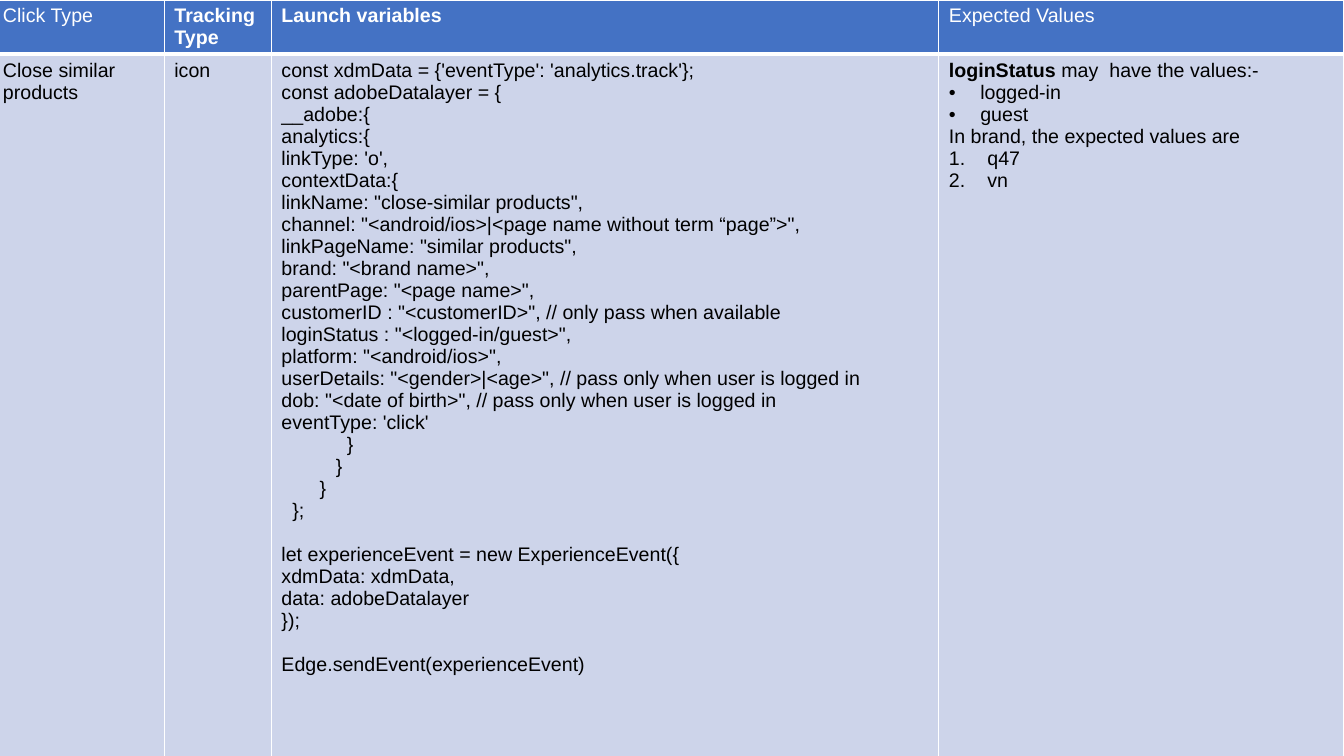
from lxml import etree
from pptx import Presentation, util as u
from pptx.dml.color import RGBColor
from pptx.oxml import ns

# Content
HEADERS = [("Click Type", False), ("Tracking Type", True),
           ("Launch variables", True), ("Expected Values", False)]
CODE = """const xdmData = {'eventType': 'analytics.track'};
const adobeDatalayer = {
__adobe:{
analytics:{
linkType: 'o',
contextData:{
linkName: "close-similar products",
channel: "<android/ios>|<page name without term “page”>",
linkPageName: "similar products",
brand: "<brand name>",
parentPage: "<page name>",
customerID : "<customerID>", // only pass when available
loginStatus : "<logged-in/guest>",
platform: "<android/ios>",
userDetails: "<gender>|<age>", // pass only when user is logged in
dob: "<date of birth>", // pass only when user is logged in
eventType: 'click'
            }
          }
       }
  };

let experienceEvent = new ExperienceEvent({
xdmData: xdmData,
data: adobeDatalayer
});

Edge.sendEvent(experienceEvent)"""
# Each paragraph: list of (text, bold) runs, list kind
EXPECTED = [
    ([("loginStatus ", True), ("may  have the values:-", False)], None),
    ([("logged-in", False)], "bullet"),
    ([("guest", False)], "bullet"),
    ([("In brand, the expected values are", False)], None),
    ([("q47", False)], "number"),
    ([("vn", False)], "number"),
]
COLORS = {"header": "4472C4", "body": "CDD4EA", "line": "FFFFFF",
          "header_text": "FFFFFF", "body_text": "000000"}
LISTS = {"bullet": (0.79, "buChar", {"char": "•"}),
         "number": (0.97, "buAutoNum", {"type": "arabicPeriod"})}
COL_WIDTHS = [4.32, 2.7, 16.82, 10.21]
ROW_HEIGHTS = [0.97, 18.08]
LEFT = -0.18
FONT, SIZE, LINE = "Arial", 14, 15.7


def sub(parent, tag, **attrs):
    return etree.SubElement(parent, ns.qn("a:" + tag), attrs)


def add_text(p, runs, color, kind=None, before=0):
    if kind:
        indent, tag, attrs = LISTS[kind]
        pPr = p._p.get_or_add_pPr()
        pPr.set("marL", str(u.Cm(indent)))
        pPr.set("indent", str(-u.Cm(indent)))
        sub(sub(pPr, "buClr"), "srgbClr", val=color)
        sub(pPr, "buFont", typeface=FONT)
        sub(pPr, tag, **attrs)
    if before:
        p.space_before = u.Pt(before)
    for words, bold in runs:
        r = p.add_run()
        r.text = words
        r.font.name, r.font.size, r.font.bold = FONT, u.Pt(SIZE), bold
        r.font.color.rgb = RGBColor.from_string(color)


def style_cell(cell, fill, top, bottom):
    tcPr = cell._tc.get_or_add_tcPr()
    for side, width in (("L", 1), ("R", 1), ("T", top), ("B", bottom)):
        ln = sub(tcPr, "ln" + side, w=str(u.Pt(width)))
        sub(sub(ln, "solidFill"), "srgbClr", val=COLORS["line"])
    cell.fill.solid()
    cell.fill.fore_color.rgb = RGBColor.from_string(fill)


def code_paragraphs(code):
    """Each gap between blocks becomes space before the next block."""
    for b, block in enumerate(code.split("\n\n")):
        for i, line in enumerate(block.split("\n")):
            yield [(line, False)], None, LINE if b and i == 0 else 0


prs = Presentation()
prs.slide_width, prs.slide_height = u.Cm(33.87), u.Cm(19.05)
s = prs.slides.add_slide(prs.slide_layouts[6])

# Table frame
table = s.shapes.add_table(2, 4, u.Cm(LEFT), 0, u.Cm(sum(COL_WIDTHS)),
                           u.Cm(sum(ROW_HEIGHTS))).table
for col, width in zip(table.columns, COL_WIDTHS):
    col.width = u.Cm(width)
for row, height in zip(table.rows, ROW_HEIGHTS):
    row.height = u.Cm(height)

# Cells
header = [[([h], None, 0)] for h in HEADERS]
body = [[([("Close similar products", False)], None, 0)],
        [([("icon", False)], None, 0)],
        list(code_paragraphs(CODE)),
        [(runs, kind, 0) for runs, kind in EXPECTED]]
for y, (cells, part, top, bottom) in enumerate(
        [(header, "header", 1, 3), (body, "body", 3, 1)]):
    for x, paragraphs in enumerate(cells):
        cell = table.cell(y, x)
        style_cell(cell, COLORS[part], top, bottom)
        tf = cell.text_frame
        for i, (runs, kind, before) in enumerate(paragraphs):
            p = tf.add_paragraph() if i else tf.paragraphs[0]
            add_text(p, runs, COLORS[part + "_text"], kind, before)

prs.save("out.pptx")
